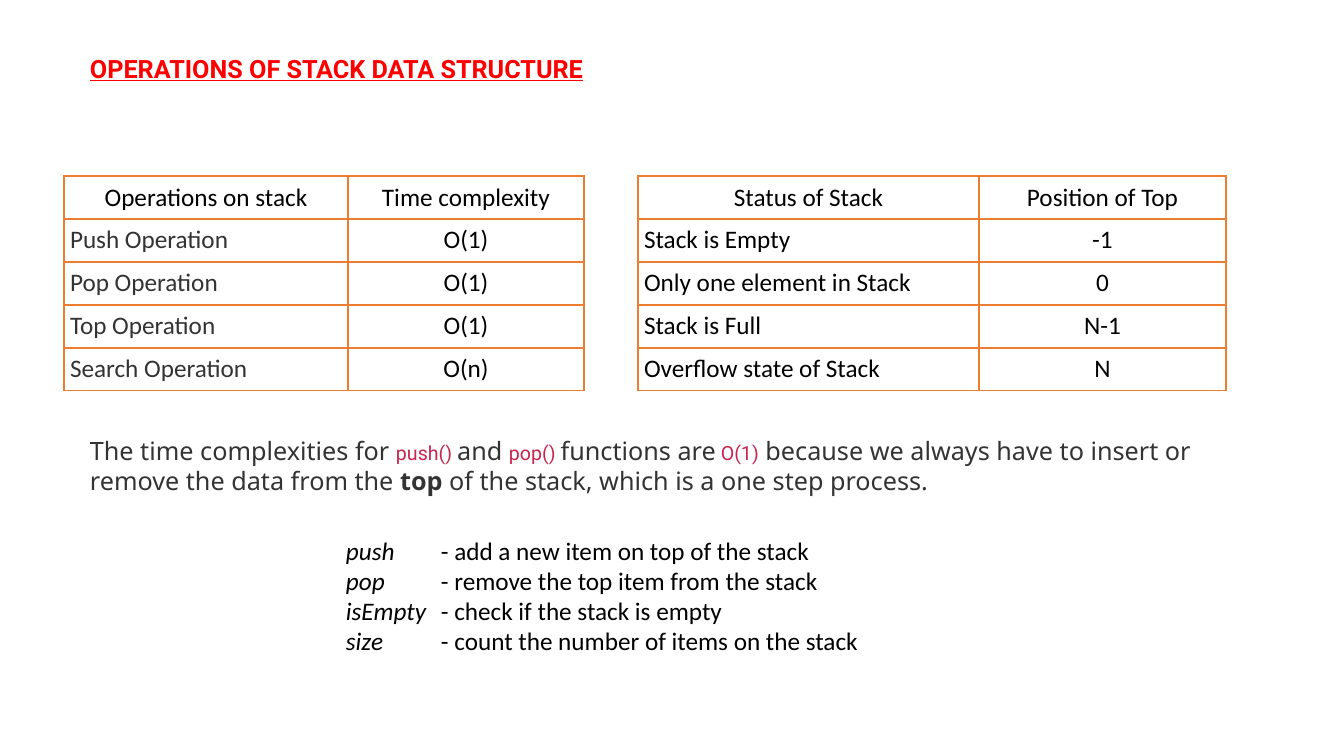
from lxml import etree
from pptx import Presentation
from pptx.dml.color import RGBColor
from pptx.enum.text import MSO_AUTO_SIZE, PP_ALIGN
from pptx.oxml.ns import qn
from pptx.util import Pt

CENTER, LEFT = PP_ALIGN.CENTER, PP_ALIGN.LEFT
GROW = MSO_AUTO_SIZE.SHAPE_TO_FIT_TEXT
RED = RGBColor(0xFF, 0x00, 0x00)
CRIMSON = RGBColor(0xC7, 0x25, 0x4E)
ORANGE = RGBColor(0xED, 0x7D, 0x31)
DARK = RGBColor(0x33, 0x33, 0x33)
BLACK = RGBColor(0x00, 0x00, 0x00)
PIXEL = 914400 / 100.8
NBSP = "\u00a0"


def px(count):
    return round(count * PIXEL)


def add_text(left, top, width, height, paragraphs):
    """Add a box; each paragraph lists (text, font, size, colour, styles)."""
    box = page.shapes.add_textbox(px(left), px(top), px(width), px(height))
    frame = box.text_frame
    frame.word_wrap = True
    frame.auto_size = GROW
    for index, spans in enumerate(paragraphs):
        para = frame.add_paragraph() if index else frame.paragraphs[0]
        for text, name, size, color, styles in spans:
            span = para.add_run()
            span.text = text
            span.font.name = name
            span.font.size = Pt(size)
            span.font.color.rgb = color
            for style in styles:
                setattr(span.font, style, True)
    return frame


deck = Presentation()
deck.slide_width, deck.slide_height = px(1344), px(756)
page = deck.slides.add_slide(deck.slide_layouts[6])

# Title
add_text(80, 48, 671, 40, [[
    ("OPERATIONS OF STACK DATA STRUCTURE", "Roboto", 18, RED, ["bold", "underline"]),
]])

# Tables: one per column, set side by side in two pairs
TABLE_TOP, ROW_HEIGHT, CELL_MARGIN = 176, 43, 6
columns = [
    (638, 341, LEFT, BLACK, ["Status of Stack", "Stack is Empty", "Only one element in Stack",
                             "Stack is Full", "Overflow state of Stack"]),
    (979, 247, CENTER, BLACK, ["Position of Top", "-1", "0", "N-1", "N"]),
    (348, 236, CENTER, BLACK, ["Time complexity", "O(1)", "O(1)", "O(1)", "O(n)"]),
    (64, 284, LEFT, DARK, ["Operations on stack", "Push Operation", "Pop Operation",
                           "Top Operation", "Search Operation"]),
]
for left, width, alignment, color, texts in columns:
    table = page.shapes.add_table(len(texts), 1, px(left), px(TABLE_TOP), px(width),
                                  px(ROW_HEIGHT * len(texts))).table
    table.first_row = table.horz_banding = False
    for index, text in enumerate(texts):
        table.rows[index].height = px(ROW_HEIGHT)
        cell = table.cell(index, 0)
        cell.margin_left = cell.margin_right = px(CELL_MARGIN)
        cell.margin_top = cell.margin_bottom = px(CELL_MARGIN)
        cell.fill.background()
        cell.text_frame.text = text
        para = cell.text_frame.paragraphs[0]
        para.alignment = alignment if index else CENTER
        font = para.runs[0].font
        font.name, font.size = "Calibri", Pt(18)
        font.color.rgb = color if index else BLACK

        # Cell borders, placed before the fill
        properties = cell._tc.get_or_add_tcPr()
        for position, side in enumerate(["a:lnL", "a:lnR", "a:lnT", "a:lnB"]):
            line = etree.Element(qn(side), w=str(Pt(1)))
            fill = etree.SubElement(line, qn("a:solidFill"))
            etree.SubElement(fill, qn("a:srgbClr"), val=str(ORANGE))
            properties.insert(position, line)

# Explanation
body = ("Noto Sans", 18, DARK, [])
code = ("Roboto", 14, CRIMSON, [])
add_text(80, 430, 1146, 72, [[
    ("The time complexities for" + NBSP, *body),
    ("push()" + NBSP, *code),
    ("and" + NBSP, *body),
    ("pop()" + NBSP, *code),
    ("functions are", *body),
    (NBSP + "O(1)", *code),
    (NBSP + "because we always have to insert or remove the data from the" + NBSP, *body),
    ("top", "Noto Sans", 18, DARK, ["bold"]),
    (NBSP + "of the stack, which is a one step process.", *body),
]])

# Definitions, aligned on a tab stop
definitions = [
    ("push", "add a new item on top of the stack"),
    ("pop", "remove the top item from the stack"),
    ("isEmpty", "check if the stack is empty"),
    ("size", "count the number of items on the stack"),
]
frame = add_text(336, 530, 672, 132, [
    [(term, "Calibri", 18, BLACK, ["italic"]),
     ("\t- " + meaning, "Calibri", 18, BLACK, [])]
    for term, meaning in definitions
])
for para in frame.paragraphs:
    tabs = etree.SubElement(para._p.get_or_add_pPr(), qn("a:tabLst"))
    etree.SubElement(tabs, qn("a:tab"), pos=str(px(95)), algn="l")

deck.save("out.pptx")
